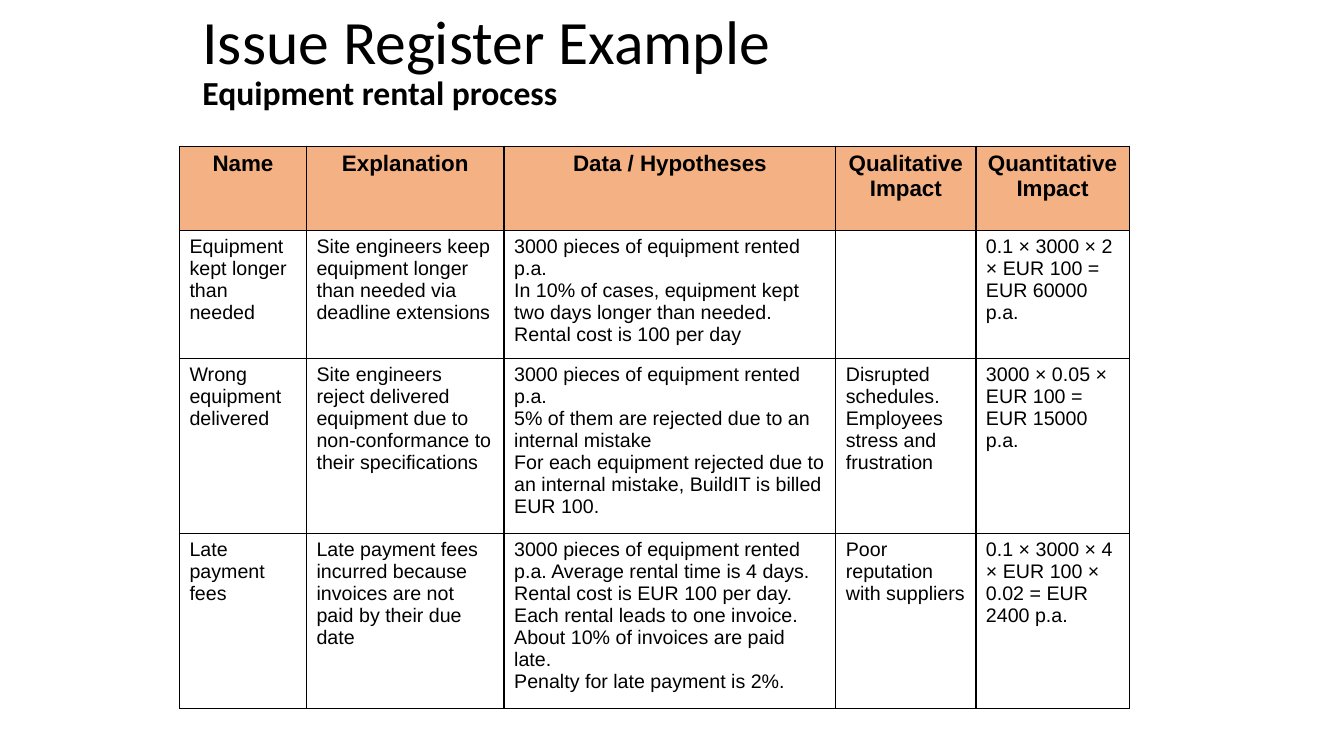
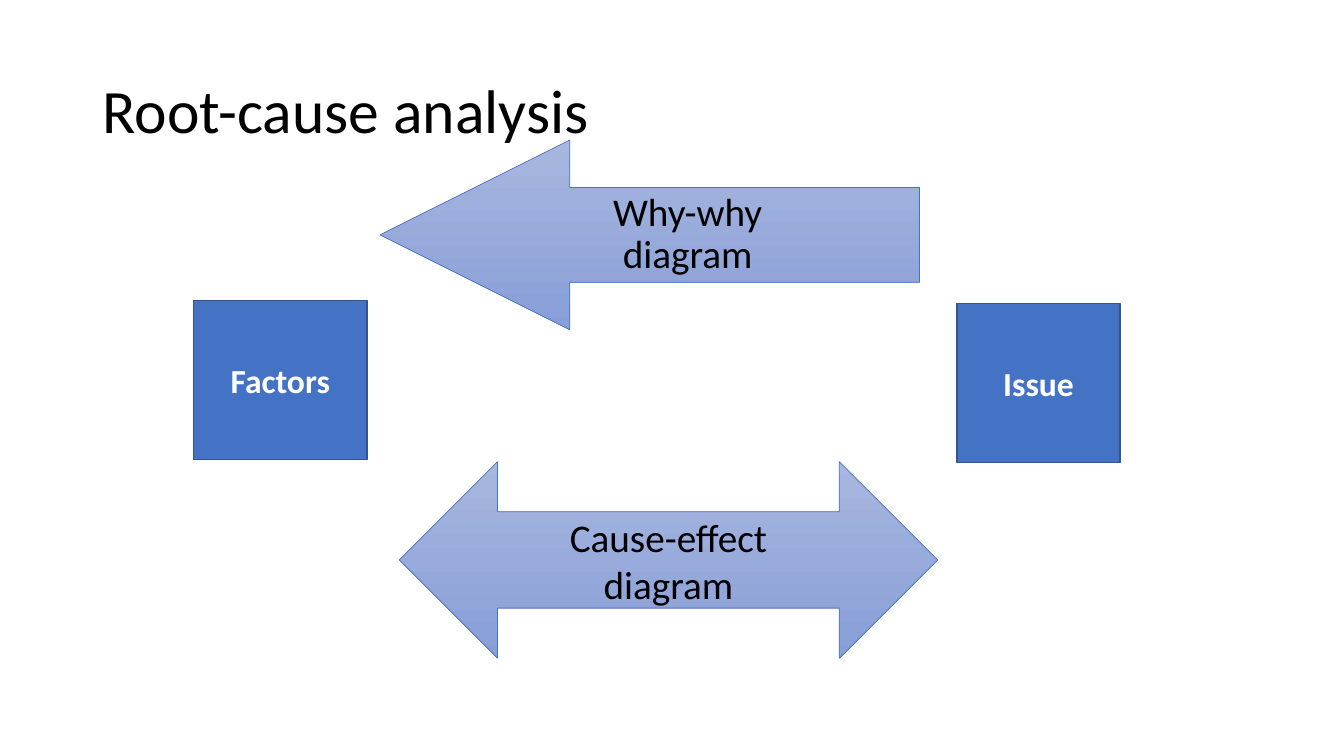
from dataclasses import dataclass

import lxml.etree
import pptx
import pptx.dml.color
import pptx.enum.shapes
import pptx.enum.text
import pptx.oxml.ns
import pptx.util

Inches = pptx.util.Inches
Pt = pptx.util.Pt
KIND = pptx.enum.shapes.MSO_SHAPE
ALIGN = pptx.enum.text.PP_ALIGN
MIDDLE = pptx.enum.text.MSO_ANCHOR.MIDDLE

BLACK, WHITE = "000000", "FFFFFF"
BLUE, NAVY, PEACH = "4472C4", "325491", "F4B183"
SHADE = ("A8B7DF", "889ED7")
BODY, GRID = "Calibri", "Arial"


@dataclass(frozen=True)
class Frame:
    left: float
    top: float
    width: float
    height: float

    def place(self) -> tuple:
        return tuple(Inches(n) for n in (self.left, self.top, self.width, self.height))


@dataclass(frozen=True)
class Font:
    size: int
    face: str = BODY
    bold: bool = False
    tint: str = BLACK


@dataclass(frozen=True)
class Box:
    label: str
    frame: Frame


@dataclass(frozen=True)
class Arrow:
    kind: int
    label: str
    frame: Frame
    bends: tuple
    pads: tuple
    pitch: float


TITLE = Font(44)
SUB = Font(24, bold=True)
HEAD = Font(16, GRID, True)
CELL = Font(14, GRID)
BOXED = Font(24, bold=True, tint=WHITE)
ARROWED = Font(28)

COLS = (1.26, 1.96, 3.29, 1.39, 1.52)
ROWS = (0.84, 1.24, 1.64, 1.72)
ISSUES = (
    ("Name", "Explanation", "Data / Hypotheses", "Qualitative Impact", "Quantitative Impact"),
    (
        "Equipment kept longer than needed",
        "Site engineers keep equipment longer than needed via deadline extensions",
        "3000 pieces of equipment rented p.a.\n"
        "In 10% of cases, equipment kept two days longer than needed.\n"
        "Rental cost is 100 per day",
        "",
        "0.1 × 3000 × 2 × EUR 100 = EUR 60000 p.a.",
    ),
    (
        "Wrong equipment delivered",
        "Site engineers reject delivered equipment due to non-conformance to their specifications",
        "3000 pieces of equipment rented p.a.\n"
        "5% of them are rejected due to an internal mistake\n"
        "For each equipment rejected due to an internal mistake, BuildIT is billed EUR 100.",
        "Disrupted schedules.\nEmployees stress and frustration",
        "3000 × 0.05 × EUR 100 = EUR 15000 p.a.",
    ),
    (
        "Late payment fees",
        "Late payment fees incurred because invoices are not paid by their due date",
        "3000 pieces of equipment rented p.a. Average rental time is 4 days.\n"
        "Rental cost is EUR 100 per day.\n"
        "Each rental leads to one invoice.\n"
        "About 10% of invoices are paid late.\n"
        "Penalty for late payment is 2%.",
        "Poor reputation with suppliers",
        "0.1 × 3000 × 4 × EUR 100 × 0.02 = EUR 2400 p.a.",
    ),
)
BOXES = (
    Box("Factors", Frame(1.92, 2.98, 1.72, 1.58)),
    Box("Issue", Frame(9.49, 3.01, 1.62, 1.58)),
)
ARROWS = (
    Arrow(KIND.LEFT_ARROW, "Why-why\vdiagram", Frame(3.77, 1.39, 5.35, 1.88),
          (0.5, 1), (0.13, 0.32), 0.9),
    Arrow(KIND.LEFT_RIGHT_ARROW, "Cause-effect\ndiagram", Frame(3.96, 4.58, 5.34, 1.95),
          (0.49, 0.5), (0.1, 0.1), 1),
)


def tone(code: str) -> pptx.dml.color.RGBColor:
    return pptx.dml.color.RGBColor.from_string(code)


def write(body, text: str, font: Font, align=ALIGN.LEFT, pitch: float = 1) -> None:
    body.text = text
    for para in body.paragraphs:
        para.alignment = align
        para.line_spacing = pitch
        para.font.name = font.face
        para.font.size = Pt(font.size)
        para.font.bold = font.bold
        para.font.color.rgb = tone(font.tint)


def add_text(slide, text: str, frame: Frame, font: Font, pitch: float = 1, wrap: bool = True):
    body = slide.shapes.add_textbox(*frame.place()).text_frame
    body.word_wrap = wrap
    write(body, text, font, pitch=pitch)
    return body


def add_title(slide, text: str, frame: Frame) -> None:
    add_text(slide, text, frame, TITLE, 0.9).vertical_anchor = MIDDLE


def add_shape(slide, kind, frame: Frame, edge: str, weight: float):
    shape = slide.shapes.add_shape(kind, *frame.place())
    shape.shadow.inherit = False
    shape.line.color.rgb = tone(edge)
    shape.line.width = Pt(weight)
    shape.text_frame.word_wrap = True
    shape.text_frame.vertical_anchor = MIDDLE
    return shape


def draw_box(slide, box: Box) -> None:
    shape = add_shape(slide, KIND.RECTANGLE, box.frame, NAVY, 1)
    shape.fill.solid()
    shape.fill.fore_color.rgb = tone(BLUE)
    write(shape.text_frame, box.label, BOXED, ALIGN.CENTER)


def draw_arrow(slide, arrow: Arrow) -> None:
    shape = add_shape(slide, arrow.kind, arrow.frame, BLUE, 0.5)
    for spot, bend in enumerate(arrow.bends):
        shape.adjustments[spot] = bend
    shape.fill.gradient()
    shape.fill.gradient_angle = 270
    for stop, code in zip(shape.fill.gradient_stops, SHADE):
        stop.color.rgb = tone(code)
    body = shape.text_frame
    body.margin_left, body.margin_right = (Inches(pad) for pad in arrow.pads)
    write(body, arrow.label, ARROWED, ALIGN.CENTER, arrow.pitch)


def rule_cell(cell) -> None:
    props = cell._tc.get_or_add_tcPr()
    name = pptx.oxml.ns.qn
    for side in ("a:lnL", "a:lnR", "a:lnT", "a:lnB"):
        line = lxml.etree.SubElement(props, name(side), w=str(Pt(1)))
        fill = lxml.etree.SubElement(line, name("a:solidFill"))
        lxml.etree.SubElement(fill, name("a:srgbClr"), val=BLACK)


def draw_grid(slide) -> None:
    frame = Frame(1.78, 1.45, sum(COLS), sum(ROWS))
    table = slide.shapes.add_table(len(ROWS), len(COLS), *frame.place()).table
    table.first_row = table.horz_banding = False
    for col, width in zip(table.columns, COLS):
        col.width = Inches(width)
    for row, height, texts in zip(table.rows, ROWS, ISSUES):
        row.height = Inches(height)
        head = texts is ISSUES[0]
        for cell, text in zip(row.cells, texts):
            rule_cell(cell)
            cell.fill.solid()
            cell.fill.fore_color.rgb = tone(PEACH if head else WHITE)
            write(cell.text_frame, text, HEAD if head else CELL,
                  ALIGN.CENTER if head else ALIGN.LEFT)


def main() -> None:
    deck = pptx.Presentation()
    deck.slide_width, deck.slide_height = Inches(13.33), Inches(7.5)
    blank = deck.slide_layouts[6]

    slide = deck.slides.add_slide(blank)
    add_title(slide, "Issue Register Example", Frame(1.91, 0.01, 8.82, 0.87))
    draw_grid(slide)
    add_text(slide, "Equipment rental process", Frame(1.91, 0.66, 3.76, 0.5), SUB, wrap=False)

    slide = deck.slides.add_slide(blank)
    add_title(slide, "Root-cause analysis", Frame(0.92, 0.4, 11.5, 1.45))
    for box in BOXES:
        draw_box(slide, box)
    for arrow in ARROWS:
        draw_arrow(slide, arrow)

    deck.save("out.pptx")


if __name__ == "__main__":
    main()
